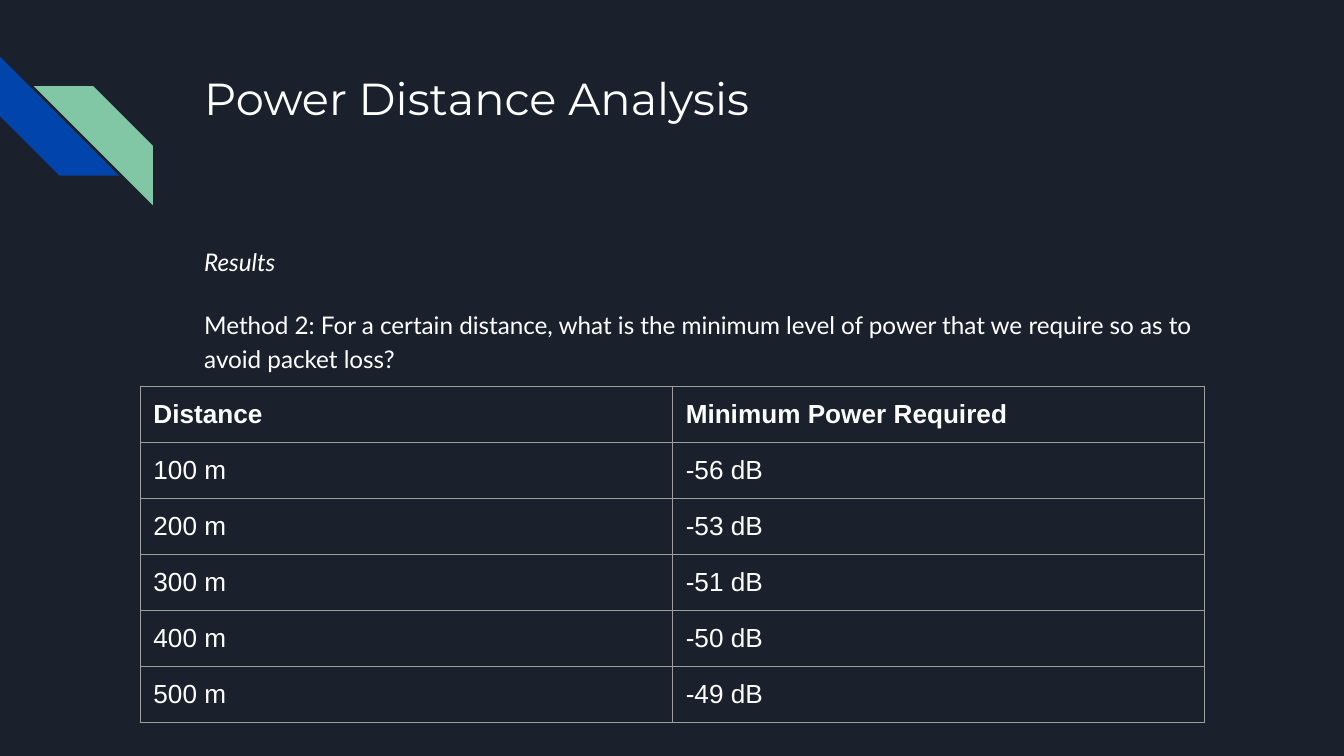
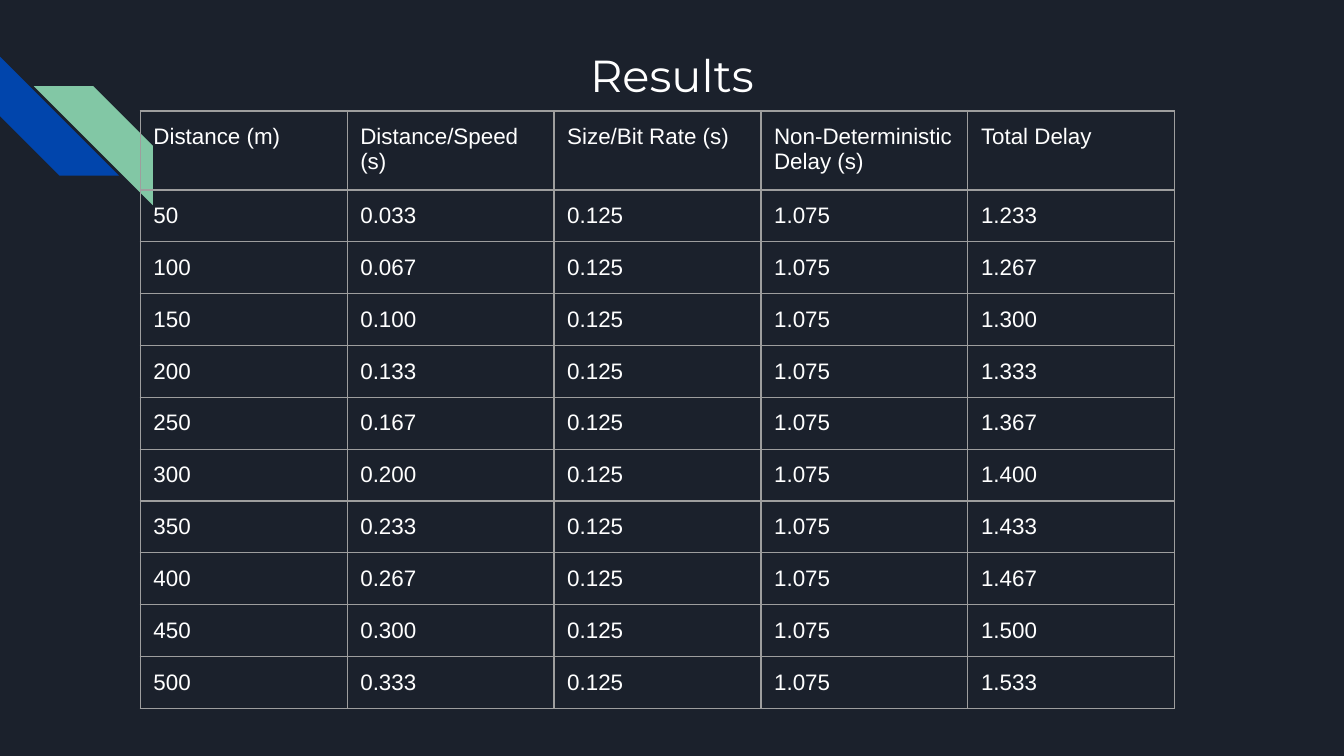
"""Build two dark slides of power and delay results."""
from dataclasses import dataclass

from lxml import etree
from pptx import Presentation
from pptx.dml.color import RGBColor
from pptx.enum.shapes import MSO_SHAPE
from pptx.enum.text import MSO_ANCHOR, MSO_AUTO_SIZE, PP_ALIGN
from pptx.oxml.ns import qn
from pptx.util import Cm, Pt

STRIPE = MSO_SHAPE.DIAGONAL_STRIPE
TOP = MSO_ANCHOR.TOP
FIXED = MSO_AUTO_SIZE.NONE
LEFT, CENTER = PP_ALIGN.LEFT, PP_ALIGN.CENTER

NAVY = RGBColor(0x1B, 0x21, 0x2C)
BLUE = RGBColor(0x01, 0x45, 0xAC)
GREEN = RGBColor(0x82, 0xC7, 0xA5)
WHITE = RGBColor(0xFF, 0xFF, 0xFF)
GREY = RGBColor(0x9E, 0x9E, 0x9E)

PAD = Cm(0.25)
SPEED = 1500
SEND = 0.125
RANDOM = 1.075


@dataclass
class Box:
    """A place on the slide, in centimetres."""
    left: float
    top: float
    width: float
    height: float


@dataclass
class Stripe:
    """A diagonal stripe of the corner mark."""
    left: float
    top: float
    color: RGBColor
    turn: int = 0
    flip: bool = False


@dataclass
class Grid:
    """A table with equal columns and equal body rows."""
    top: float
    col: float
    head: float
    row: float
    size: int
    bold: bool
    rows: list[list[str]]


STRIPES = [
    Stripe(0, 1.07, BLUE, turn=270),
    Stripe(0.64, 1.63, GREEN, flip=True),
]
SIDE = Cm(2.25)

POWER = Grid(7.3, 10.06, 1.06, 1.06, 14, True, [
    ["Distance", "Minimum Power Required"],
    ["100 m", "-56 dB"],
    ["200 m", "-53 dB"],
    ["300 m", "-51 dB"],
    ["400 m", "-50 dB"],
    ["500 m", "-49 dB"],
])

DELAY = Grid(2.1, 3.91, 1.49, 0.98, 12, False, [
    ["Distance (m)", "Distance/Speed (s)", "Size/Bit Rate (s)",
     "Non-Deterministic Delay (s)", "Total Delay"],
    *([str(dist)] + [f"{time:.3f}" for time in (
        dist / SPEED, SEND, RANDOM, dist / SPEED + SEND + RANDOM)]
      for dist in range(50, 501, 50)),
])


def style(para, face: str, size: int, bold: bool = False,
          slant: bool = False) -> None:
    """Set the white font of a paragraph."""
    font = para.font
    font.name, font.size = face, Pt(size)
    font.bold, font.italic = bold, slant
    font.color.rgb = WHITE


def place(holder, box: Box, lines: list[str]) -> list:
    """Move a placeholder, fill it and return its paragraphs."""
    holder.left, holder.top = Cm(box.left), Cm(box.top)
    holder.width, holder.height = Cm(box.width), Cm(box.height)
    frame = holder.text_frame
    frame.text = "\n".join(lines)
    frame.word_wrap = True
    frame.auto_size = FIXED
    frame.vertical_anchor = TOP
    frame.margin_left = frame.margin_right = PAD
    frame.margin_top = frame.margin_bottom = PAD
    return list(frame.paragraphs)


def add_mark(slide) -> None:
    """Draw the corner stripes."""
    for part in STRIPES:
        shape = slide.shapes.add_shape(
            STRIPE, Cm(part.left), Cm(part.top), SIDE, SIDE)
        shape.shadow.inherit = False
        shape.fill.solid()
        shape.fill.fore_color.rgb = part.color
        shape.line.fill.background()
        shape.rotation = part.turn
        if part.flip:
            shape.element.spPr.find(qn("a:xfrm")).set("flipH", "1")


def add_slide(deck, kind: int, title: str, box: Box, align):
    """Add a slide with its title and corner mark."""
    slide = deck.slides.add_slide(deck.slide_layouts[kind])
    para, = place(slide.shapes.title, box, [title])
    para.alignment = align
    style(para, "Montserrat", 24)
    add_mark(slide)
    return slide


def add_body(slide, box: Box, intro: str, text: str) -> None:
    """Write the slanted intro and the plain text below it."""
    first, last = place(slide.placeholders[1], box, [intro, text])
    for para in (first, last):
        para.line_spacing = 1.15
        para.space_before = Pt(0)
        style(para, "Lato", 13, slant=para is first)
        props = para._p.get_or_add_pPr()
        props.set("marL", "0")
        props.set("indent", "0")
        etree.SubElement(props, qn("a:buNone"))
        props.insert_element_before(
            props.find(qn("a:buNone")), "a:tabLst", "a:defRPr")
    last.space_before = last.space_after = Pt(16)


def edge(cell) -> None:
    """Give a cell thin grey borders on all sides."""
    props = cell._tc.get_or_add_tcPr()
    for side in "LRTB":
        line = etree.SubElement(
            props, qn(f"a:ln{side}"), w=str(Pt(0.75)))
        fill = etree.SubElement(line, qn("a:solidFill"))
        etree.SubElement(fill, qn("a:srgbClr"), val=str(GREY))


def add_grid(slide, grid: Grid) -> None:
    """Draw a table with clear cells."""
    rows, cols = len(grid.rows), len(grid.rows[0])
    high = grid.head + grid.row * (rows - 1)
    table = slide.shapes.add_table(
        rows, cols, Cm(2.65), Cm(grid.top),
        Cm(grid.col * cols), Cm(high)).table
    table.first_row = table.horz_banding = False
    for col in table.columns:
        col.width = Cm(grid.col)
    for i, words in enumerate(grid.rows):
        table.rows[i].height = Cm(grid.row if i else grid.head)
        for j, word in enumerate(words):
            cell = table.cell(i, j)
            cell.text = word
            cell.margin_left = cell.margin_right = PAD
            cell.margin_top = cell.margin_bottom = PAD
            edge(cell)
            cell.fill.background()
            style(cell.text_frame.paragraphs[0], "Arial", grid.size,
                  bold=grid.bold and i == 0)


def main() -> None:
    """Build and save the deck."""
    deck = Presentation()
    deck.slide_width, deck.slide_height = Cm(25.4), Cm(14.29)
    back = deck.slide_master.background.fill
    back.solid()
    back.fore_color.rgb = NAVY

    power = add_slide(deck, 1, "Power Distance Analysis",
                      Box(3.61, 1.09, 19.56, 2.54), LEFT)
    add_body(power, Box(3.61, 4.34, 19.56, 8.08), "Results",
             "Method 2: For a certain distance, what is the minimum level "
             "of power that we require so as to avoid packet loss?")
    add_grid(power, POWER)

    delay = add_slide(deck, 5, "Results",
                      Box(2.92, 0.66, 19.56, 1.45), CENTER)
    add_grid(delay, DELAY)
    deck.save("out.pptx")


if __name__ == "__main__":
    main()
